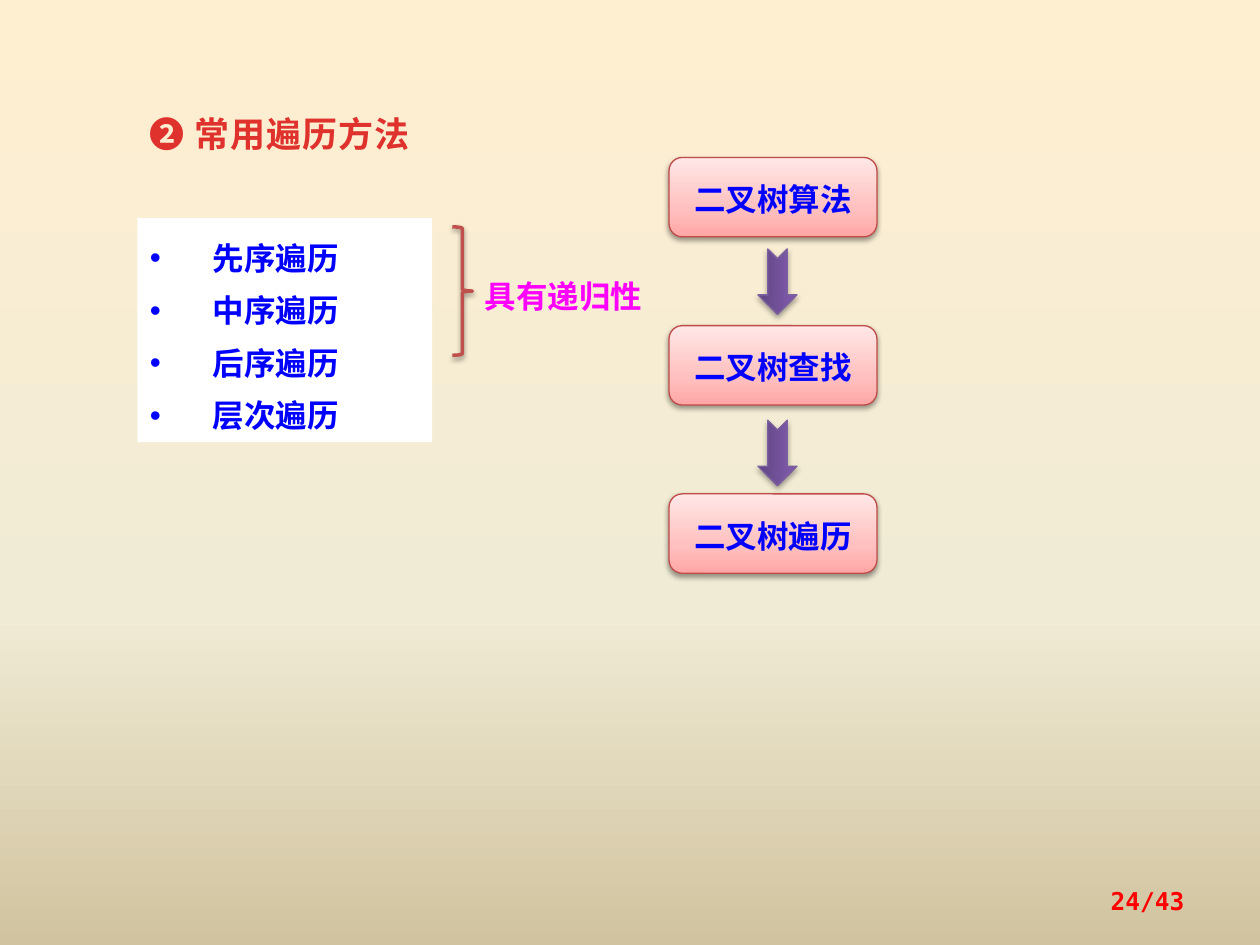
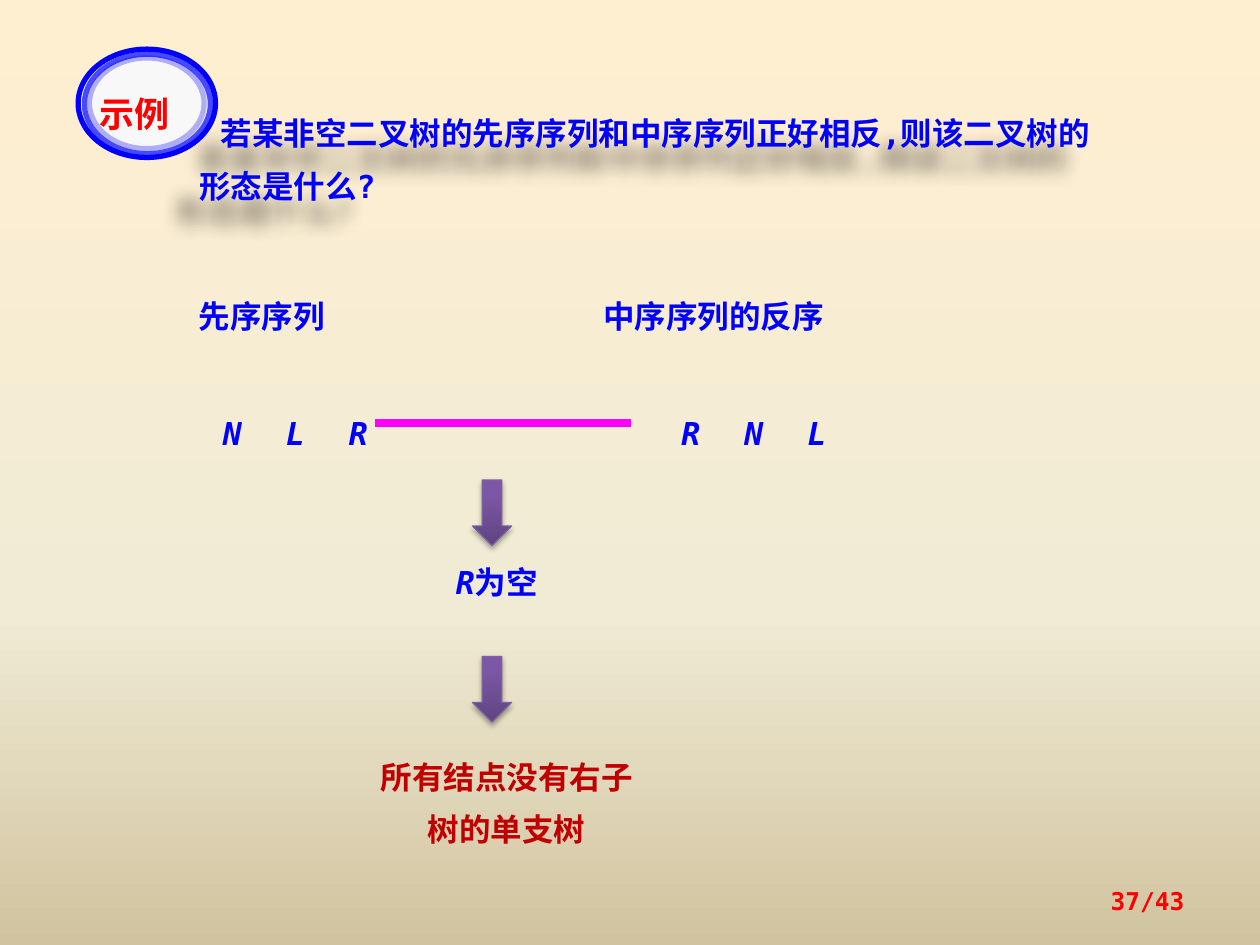
from pptx import Presentation
from pptx.dml.color import RGBColor
from pptx.enum import shapes, text
from pptx.oxml import ns, xmlchemy
from pptx.util import Inches, Pt

RED = RGBColor(0xFF, 0x00, 0x00)
TITLE_RED = RGBColor(0xE0, 0x32, 0x2D)
DARK_RED = RGBColor(0xC0, 0x00, 0x00)
BLUE = RGBColor(0x00, 0x00, 0xFF)
MAGENTA = RGBColor(0xFF, 0x00, 0xFF)
WHITE = RGBColor(0xFF, 0xFF, 0xFF)
OVAL_FILL = RGBColor(0xF8, 0xF8, 0xF8)
BRACE_LINE = RGBColor(0xC0, 0x50, 0x4D)
BOX_LINE = RGBColor(0xBF, 0x4C, 0x48)
ARROW_LINE = RGBColor(0x7D, 0x60, 0xA0)
BLACK = RGBColor(0x00, 0x00, 0x00)

# Gradient stops: percent and colour
SAND = [(0, RGBColor(0xFF, 0xEF, 0xD1)), (65, RGBColor(0xF0, 0xEB, 0xD5)),
        (100, RGBColor(0xD1, 0xC3, 0x9F))]
PINK = [(0, RGBColor(0xFF, 0xA6, 0xA5)), (35, RGBColor(0xFF, 0xC0, 0xBF)),
        (100, RGBColor(0xFF, 0xE7, 0xE7))]
PURPLE = [(0, RGBColor(0x5F, 0x44, 0x80)), (80, RGBColor(0x7B, 0x58, 0xA6)),
          (100, RGBColor(0x7C, 0x57, 0xA8))]

# Shadows: blur and distance in points, direction in degrees, opacity in percent
SOFT = (3.1, 1.6, 90, 38)
ARROW_SHADOW = (3.1, 1.8, 90, 35)
TEXT_SHADOW = (10, 19, 135, 45)

MONO = "DejaVu Sans Mono"
SANS = "Noto Sans CJK SC"
ALIGN = text.PP_ALIGN
ANCHOR = text.MSO_ANCHOR
KIND = shapes.MSO_SHAPE


def write(shape, *paragraphs, size=18, color=BLUE, font=MONO, east_font=SANS,
          italic=False, align=ALIGN.LEFT, anchor=ANCHOR.TOP, spacing=Pt(30),
          margin=0, indent=0, tabs=(), tracking=0):
    """Fill a shape with paragraphs: each a string or a list of (text, italic)."""
    frame = shape.text_frame
    frame.word_wrap = True
    frame.auto_size = text.MSO_AUTO_SIZE.NONE
    frame.vertical_anchor = anchor
    for number, content in enumerate(paragraphs):
        paragraph = frame.add_paragraph() if number else frame.paragraphs[0]
        paragraph.alignment = align
        paragraph.line_spacing = spacing
        paragraph.space_before = Pt(0)
        properties = paragraph._p.get_or_add_pPr()
        properties.set("marL", str(Inches(margin)))
        properties.set("indent", str(Inches(indent)))
        if tabs:
            stops = xmlchemy.OxmlElement("a:tabLst")
            for position in tabs:
                stop = xmlchemy.OxmlElement("a:tab")
                stop.set("pos", str(Inches(position)))
                stop.set("algn", "l")
                stops.append(stop)
            properties.append(stops)
        runs = [(content, italic)] if isinstance(content, str) else content
        for words, slanted in runs:
            run = paragraph.add_run()
            run.text = words
            run.font.size = Pt(size)
            run.font.name = font
            run.font.bold = True
            run.font.italic = slanted
            run.font.color.rgb = color
            run_properties = run._r.get_or_add_rPr()
            run_properties.set("spc", str(tracking))
            east = xmlchemy.OxmlElement("a:ea")
            east.set("typeface", east_font)
            run_properties.find(ns.qn("a:latin")).addnext(east)


def decorate(owner, fill=None, stops=(), angle=90, shadow=None):
    """Give a shape or a background a gradient (upward by default) and a shadow."""
    if stops:
        fill.gradient()
        fill.gradient_angle = angle
        stop_list = next(owner.element.iter(ns.qn("a:gsLst")))
        for old_stop in list(stop_list):
            stop_list.remove(old_stop)
        for percent, color in stops:
            stop = xmlchemy.OxmlElement("a:gs")
            stop.set("pos", str(percent * 1000))
            value = xmlchemy.OxmlElement("a:srgbClr")
            value.set("val", str(color))
            stop.append(value)
            stop_list.append(stop)
    if shadow:
        blur, distance, direction, opacity = shadow
        owner.shadow.inherit = False
        outer = xmlchemy.OxmlElement("a:outerShdw")
        outer.set("blurRad", str(Pt(blur)))
        outer.set("dist", str(Pt(distance)))
        outer.set("dir", str(direction * 60000))
        outer.set("rotWithShape", "0")
        value = xmlchemy.OxmlElement("a:srgbClr")
        value.set("val", str(BLACK))
        alpha = xmlchemy.OxmlElement("a:alpha")
        alpha.set("val", str(opacity * 1000))
        value.append(alpha)
        outer.append(value)
        next(owner.element.iter(ns.qn("a:effectLst"))).append(outer)


presentation = Presentation()
presentation.slide_width = Inches(10)
presentation.slide_height = Inches(7.5)
master = presentation.slide_master
decorate(master, master.background.fill, SAND, angle=270)
arrows = []

# Slide 1: traversal methods
methods = presentation.slides.add_slide(presentation.slide_layouts[1])
title = methods.shapes.title
title.left, title.top = Inches(1.09), Inches(0.76)
title.width, title.height = Inches(3.13), Inches(0.48)
write(title, "❷ 常用遍历方法", size=20, color=TITLE_RED, font=SANS, tracking=50)

# List of methods
body = methods.placeholders[1]
body.left, body.top = Inches(1.09), Inches(1.73)
body.width, body.height = Inches(2.34), Inches(1.78)
body.fill.solid()
body.fill.fore_color.rgb = WHITE
write(body, "先序遍历", "中序遍历", "后序遍历", "层次遍历",
      font=SANS, margin=0.5, indent=-0.5)

# Brace and its label
brace = methods.shapes.add_shape(KIND.RIGHT_BRACE, Inches(3.59), Inches(1.8),
                                 Inches(0.16), Inches(1.02))
brace.fill.background()
brace.line.color.rgb = BRACE_LINE
brace.line.width = Pt(2)
decorate(brace, shadow=SOFT)
label = methods.shapes.add_textbox(Inches(3.75), Inches(2.03), Inches(1.48), Inches(0.52))
write(label, "具有递归性", color=MAGENTA, font=SANS)

# Chain of boxes
for index, words in enumerate(["二叉树算法", "二叉树查找", "二叉树遍历"]):
    box = methods.shapes.add_shape(KIND.ROUNDED_RECTANGLE, Inches(5.31),
                                   Inches(1.25 + 1.335 * index), Inches(1.65), Inches(0.63))
    decorate(box, box.fill, PINK, shadow=SOFT)
    box.line.color.rgb = BOX_LINE
    box.line.width = Pt(0.75)
    write(box, words, font=SANS, align=ALIGN.CENTER, anchor=ANCHOR.MIDDLE, spacing=1.1)
for top in (2.08, 3.44):
    arrow = methods.shapes.add_shape(KIND.NOTCHED_RIGHT_ARROW, Inches(5.91), Inches(top),
                                     Inches(0.52), Inches(0.31))
    arrow.rotation = 90
    arrows.append(arrow)

# Slide 2: worked example
example = presentation.slides.add_slide(presentation.slide_layouts[5])
question = example.shapes.title
question.left, question.top = Inches(1.48), Inches(0.74)
question.width, question.height = Inches(7.5), Inches(0.9)
write(question, "若某非空二叉树的先序序列和中序序列正好相反,则该二叉树的形态是什么?".replace(",", ",").replace("?", "?"),
      indent=0.17)
decorate(question, shadow=TEXT_SHADOW)

# Sequences, with their letters on tab stops
for left, top, width, words, italic in [
        (1.48, 2.19, 1.88, "先序序列", False),
        (1.67, 3.12, 1.41, "N\tL\tR", True),
        (4.69, 2.19, 2.81, "中序序列的反序", False),
        (5.31, 3.12, 1.41, "R\tN\tL", True)]:
    sequence = example.shapes.add_textbox(Inches(left), Inches(top), Inches(width), Inches(0.52))
    write(sequence, words, italic=italic, tabs=(0.45, 0.9) if italic else ())

# Link between the sequences
link = example.shapes.add_connector(shapes.MSO_CONNECTOR.STRAIGHT, Inches(2.98), Inches(3.36),
                                    Inches(5.01), Inches(3.36))
link.line.color.rgb = MAGENTA
link.line.width = Pt(4.5)
link._element.spPr.append(xmlchemy.OxmlElement("a:effectLst"))

# Conclusions
for top in (3.81, 5.21):
    arrows.append(example.shapes.add_shape(KIND.DOWN_ARROW, Inches(3.75), Inches(top),
                                           Inches(0.31), Inches(0.52)))
empty = example.shapes.add_textbox(Inches(3.52), Inches(4.3), Inches(1.02), Inches(0.52))
write(empty, [("R", True), ("为空", False)])
answer = example.shapes.add_textbox(Inches(2.81), Inches(5.85), Inches(2.42), Inches(0.94))
write(answer, "所有结点没有右子树的单支树", color=DARK_RED, align=ALIGN.CENTER)

# Badge of nested ovals
for left, top, width, height, opacity in [(0.62, 0.39, 1.09, 0.86, 100),
                                          (0.67, 0.43, 1, 0.79, 70),
                                          (0.71, 0.46, 0.91, 0.72, 30)]:
    oval = example.shapes.add_shape(KIND.OVAL, Inches(left), Inches(top),
                                    Inches(width), Inches(height))
    oval.shadow.inherit = False
    oval.line.color.rgb = BLUE
    oval.line.width = Pt(3)
    if opacity == 100:
        oval.fill.solid()
        oval.fill.fore_color.rgb = OVAL_FILL
    else:
        oval.fill.background()
        alpha = xmlchemy.OxmlElement("a:alpha")
        alpha.set("val", str(opacity * 1000))
        next(oval.element.iter(ns.qn("a:srgbClr"))).append(alpha)
badge = example.shapes.add_textbox(Inches(0.69), Inches(0.65), Inches(0.96), Inches(0.47))
write(badge, "示例", size=20, color=RED, font="Noto Sans CJK JP",
      east_font="Noto Sans CJK JP", spacing=1.1)

# Shared arrow style
for arrow in arrows:
    decorate(arrow, arrow.fill, PURPLE, shadow=ARROW_SHADOW)
    arrow.line.color.rgb = ARROW_LINE
    arrow.line.width = Pt(0.75)

# Page numbers
for slide, number in [(methods, "24/43"), (example, "37/43")]:
    footer = slide.shapes.add_textbox(Inches(7.17), Inches(6.95), Inches(2.33), Inches(0.4))
    write(footer, number, size=14, color=RED, align=ALIGN.RIGHT,
          anchor=ANCHOR.MIDDLE, spacing=1.0)

presentation.save("out.pptx")
